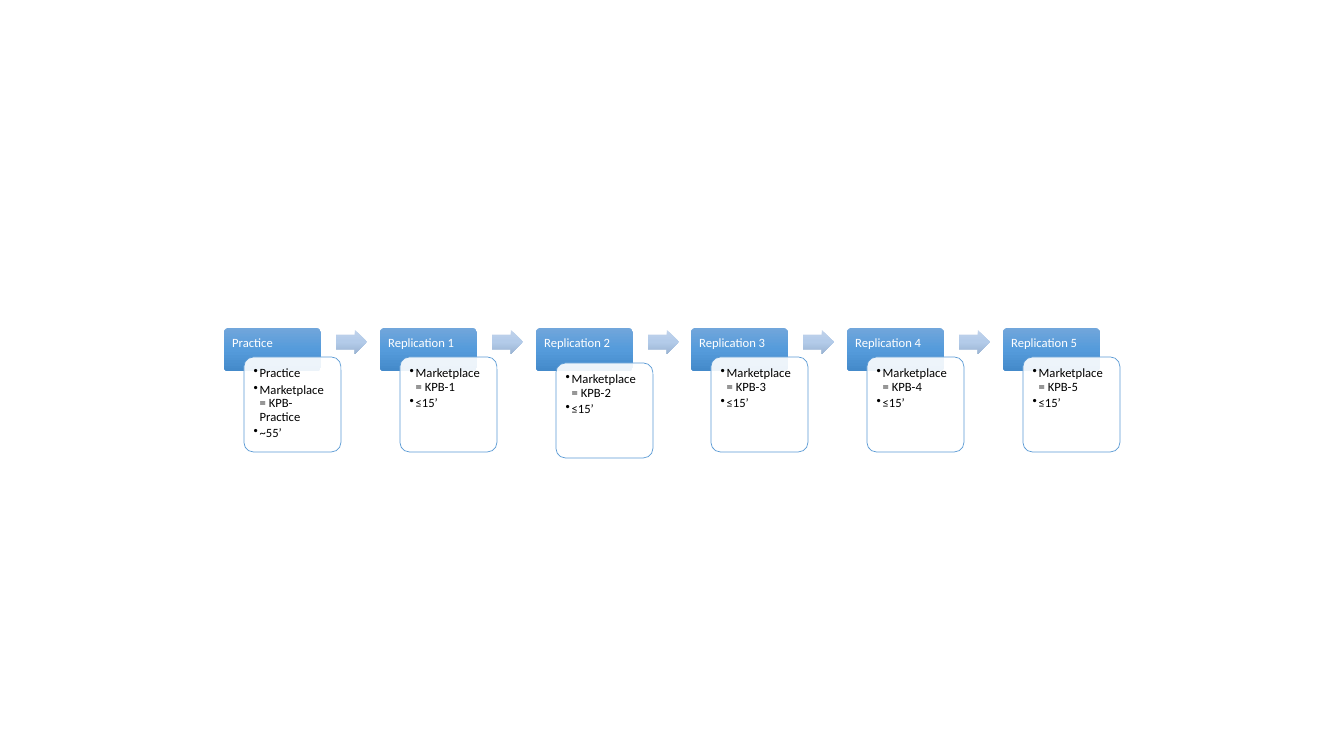
import copy

from lxml import etree
from pptx import Presentation
from pptx import util as u
from pptx.dml.color import RGBColor
from pptx.enum import shapes, text
from pptx.oxml.ns import qn

PX = 914400 / 100.8
COLORS = {
    "white": "FFFFFF", "black": "000000", "outline": "5B9BD5",
    "head_top": "71A6DB", "head_mid": "559BDB", "head_end": "448ACA",
    "arrow_top": "C0D2EB", "arrow_mid": "B3CBE9", "arrow_end": "9BB4D3",
}
STEPS = [("Practice", ["Practice", "Marketplace = KPB-Practice", "~55’"], 29)] + [
    (f"Replication {n}", [f"Marketplace = KPB-{n}", "≤15’"], 35 if n == 2 else 29)
    for n in range(1, 6)
]


def px(n):
    return u.Emu(round(n * PX))


def rgb(name):
    return RGBColor.from_string(COLORS[name])


def add_shape(slide, kind, x, y, w, h, adjustments):
    sp = slide.shapes.add_shape(kind, px(x), px(y), px(w), px(h))
    sp.shadow.inherit = False
    for i, value in enumerate(adjustments):
        sp.adjustments[i] = value
    return sp


def fill_gradient(sp, prefix):
    sp.line.fill.background()
    sp.fill.gradient()
    sp.fill.gradient_angle = 270
    stops = sp._element.spPr.find(qn("a:gradFill")).find(qn("a:gsLst"))
    stops.insert(1, copy.deepcopy(stops[0]))
    for stop, position, part in zip(sp.fill.gradient_stops, (0, 0.5, 1), ("top", "mid", "end")):
        stop.position = position
        stop.color.rgb = rgb(f"{prefix}_{part}")


def write(sp, lines, color, space_after, bulleted=False):
    tf = sp.text_frame
    tf.word_wrap = True
    tf.vertical_anchor = text.MSO_ANCHOR.TOP
    tf.margin_left = tf.margin_right = tf.margin_top = tf.margin_bottom = px(7)
    for i, line in enumerate(lines):
        p = tf.paragraphs[0] if i == 0 else tf.add_paragraph()
        p.text = line
        p.alignment = text.PP_ALIGN.LEFT
        p.line_spacing = 0.9
        p.space_after = u.Pt(space_after)
        p.font.name = "Calibri"
        p.font.size = u.Pt(9)
        p.font.color.rgb = rgb(color)
        if bulleted:
            p.level = 1
            pPr = p._p.get_or_add_pPr()
            pPr.set("marL", str(px(6)))
            pPr.set("indent", str(-px(6)))
            bullet = etree.Element(qn("a:buChar"), char="•")
            pPr.find(qn("a:defRPr")).addprevious(bullet)


def add_step(slide, x, y, title, details, drop):
    head = add_shape(slide, shapes.MSO_SHAPE.ROUNDED_RECTANGLE, x, y, 97, 43, [0.1])
    fill_gradient(head, "head")
    write(head, [title], "white", 3)

    card = add_shape(slide, shapes.MSO_SHAPE.ROUNDED_RECTANGLE, x + 20, y + drop, 97, 95, [0.1])
    card.fill.solid()
    card.fill.fore_color.rgb = rgb("white")
    color = card._element.spPr.find(qn("a:solidFill"))[0]
    etree.SubElement(color, qn("a:alpha"), val="90000")
    card.line.color.rgb = rgb("outline")
    card.line.width = u.Pt(0.5)
    write(card, details, "black", 2, bulleted=True)


def add_process(slide, x, y, w):
    pitch = (w - 117) / (len(STEPS) - 1)
    for i, (title, details, drop) in enumerate(STEPS):
        left = x + round(i * pitch)
        add_step(slide, left, y, title, details, drop)
        if i < len(STEPS) - 1:
            arrow = add_shape(slide, shapes.MSO_SHAPE.RIGHT_ARROW, left + 112, y + 2, 31, 24, [0.6, 0.5])
            fill_gradient(arrow, "arrow")


prs = Presentation()
prs.slide_width, prs.slide_height = px(1344), px(756)
slide = prs.slides.add_slide(prs.slide_layouts[6])
add_process(slide, 224, 328, 896)
prs.save("out.pptx")
